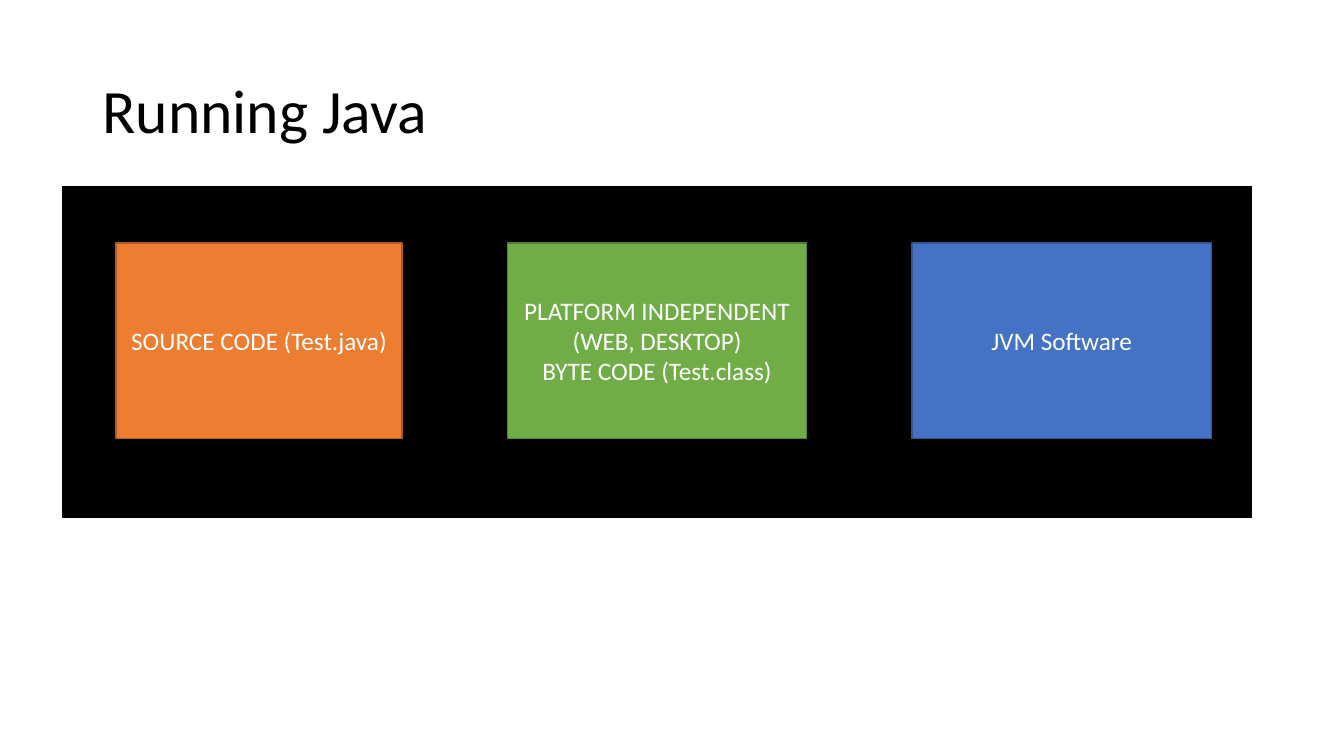
"""Build the Running Java slide: source code, byte code and JVM boxes on a black panel."""
from pptx import Presentation
from pptx.dml.color import RGBColor
from pptx.enum.shapes import MSO_SHAPE as Shape
from pptx.enum.text import MSO_ANCHOR as Anchor, PP_ALIGN as Align
from pptx.util import Pt

TITLE = "Running Java"
TITLE_AREA = (66, 28.8, 828, 104.4)
PANEL_AREA = (44.6, 133.2, 849.6, 236.2)
STAGES = [
    (["SOURCE CODE (Test.java)"], 204.5, "ED7D31", "AF5C24"),
    (["PLATFORM INDEPENDENT (WEB, DESKTOP)", "BYTE CODE (Test.class)"], 213.8, "70AD47", "538035"),
    (["JVM Software"], 213.8, "4472C4", "325491"),
]
STAGE_LEFT, STAGE_TOP, STAGE_HEIGHT, STAGE_GAP = 82.8, 173.5, 139.7, 75.2


def color(value):
    return RGBColor.from_string(value)


def add_box(page, area, fill, line):
    box = page.shapes.add_shape(Shape.RECTANGLE, *map(Pt, area))
    box.shadow.inherit = False
    box.fill.solid()
    box.fill.fore_color.rgb = color(fill)
    box.line.color.rgb = color(line)
    box.line.width = Pt(1)
    return box


def write(frame, lines, size, ink, align, spacing):
    frame.text = "\n".join(lines)
    frame.word_wrap = True
    frame.vertical_anchor = Anchor.MIDDLE
    for para in frame.paragraphs:
        para.alignment = align
        para.line_spacing = spacing
        for span in para.runs:
            span.font.name = "Calibri"
            span.font.size = Pt(size)
            span.font.color.rgb = color(ink)


def main():
    deck = Presentation()
    deck.slide_width, deck.slide_height = Pt(960), Pt(540)
    page = deck.slides.add_slide(deck.slide_layouts[5])

    title = page.shapes.title
    title.left, title.top, title.width, title.height = map(Pt, TITLE_AREA)
    write(title.text_frame, [TITLE], 44, "000000", Align.LEFT, 0.9)

    add_box(page, PANEL_AREA, "000000", "000000")
    left = STAGE_LEFT
    for lines, width, fill, line in STAGES:
        box = add_box(page, (left, STAGE_TOP, width, STAGE_HEIGHT), fill, line)
        write(box.text_frame, lines, 18, "FFFFFF", Align.CENTER, 1.0)
        left += width + STAGE_GAP

    deck.save("out.pptx")


if __name__ == "__main__":
    main()
